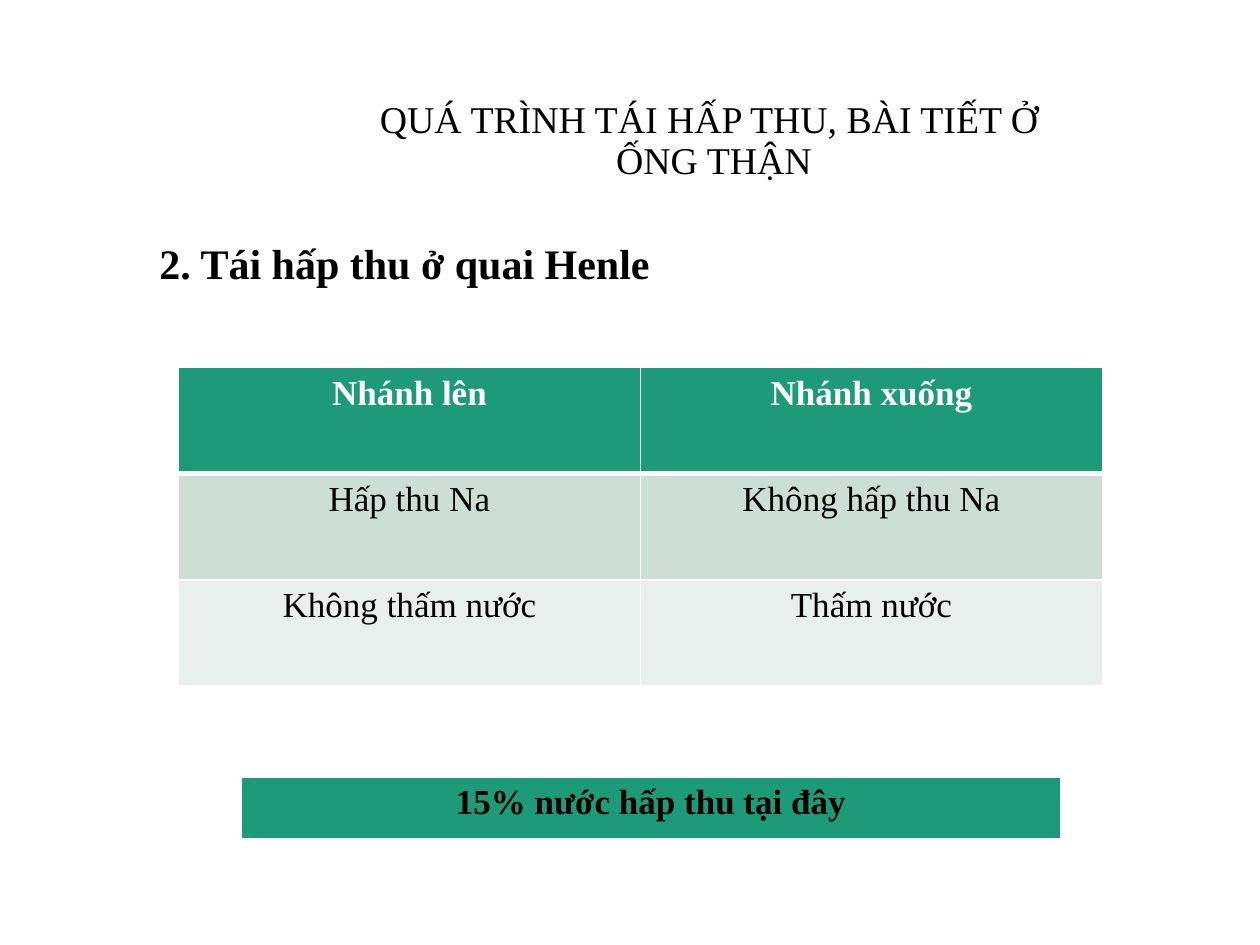
from lxml import etree
from pptx import Presentation
from pptx.dml.color import RGBColor
from pptx.enum.text import MSO_ANCHOR, PP_ALIGN
from pptx.oxml.ns import qn
from pptx.util import Pt

CENTER = PP_ALIGN.CENTER
LEFT = PP_ALIGN.LEFT
TOP = MSO_ANCHOR.TOP
MIDDLE = MSO_ANCHOR.MIDDLE
FONT = "Times New Roman"
GREEN, WHITE, BLACK = "1D9A78", "FFFFFF", "000000"
BANDS = ["CDDED6", "E8EFEC"]


def color(value):
    return RGBColor.from_string(value)


def add_run(p, text, size, fill=BLACK, bold=False):
    r = p.add_run()
    r.text = text
    r.font.name = FONT
    r.font.size = Pt(size)
    r.font.bold = bold
    r.font.color.rgb = color(fill)


def add_text(slide, box, lines, size, bold=False, align=LEFT, anchor=TOP, spacing=1.0):
    sp = slide.shapes.add_textbox(*map(Pt, box))
    tf = sp.text_frame
    tf.word_wrap = True
    tf.vertical_anchor = anchor
    p = tf.paragraphs[0]
    p.alignment = align
    p.line_spacing = spacing
    for i, line in enumerate(lines):
        if i:
            p.add_line_break()
        add_run(p, line, size, bold=bold)
    return p


def add_heading(slide, box, text):
    p = add_text(slide, box, [text], 24, bold=True)
    pPr = p._p.get_or_add_pPr()
    pPr.set("marL", str(Pt(40.5)))
    pPr.set("indent", str(-Pt(40.5)))


def set_borders(cell, bottom):
    tcPr = cell._tc.get_or_add_tcPr()
    for i, (side, width) in enumerate([("L", 1), ("R", 1), ("T", 1), ("B", bottom)]):
        ln = etree.Element(qn(f"a:ln{side}"), w=str(Pt(width)))
        fill = etree.SubElement(ln, qn("a:solidFill"))
        etree.SubElement(fill, qn("a:srgbClr"), val=WHITE)
        tcPr.insert(i, ln)


def add_grid(slide, box, rows, header_color):
    left, top, width, height = box
    n_rows, n_cols = len(rows), len(rows[0])
    table = slide.shapes.add_table(n_rows, n_cols, *map(Pt, box)).table
    for col in table.columns:
        col.width = Pt(width / n_cols)
    for i, row in enumerate(rows):
        table.rows[i].height = Pt(height / n_rows)
        header = i == 0
        for j, text in enumerate(row):
            cell = table.cell(i, j)
            cell.fill.solid()
            cell.fill.fore_color.rgb = color(GREEN if header else BANDS[(i - 1) % 2])
            set_borders(cell, 3 if header else 1)
            p = cell.text_frame.paragraphs[0]
            p.alignment = CENTER
            add_run(p, text, 20, header_color if header else BLACK, header)


def main():
    prs = Presentation()
    prs.slide_width, prs.slide_height = Pt(720), Pt(540)
    slide = prs.slides.add_slide(prs.slide_layouts[6])
    add_grid(slide, (102, 210, 528, 182), [
        ["Nhánh lên", "Nhánh xuống"],
        ["Hấp thu Na", "Không hấp thu Na"],
        ["Không thấm nước", "Thấm nước"],
    ], WHITE)
    add_grid(slide, (138, 444, 468, 36), [["15% nước hấp thu tại đây"]], BLACK)
    add_heading(slide, (84, 132, 546, 75), "2. Tái hấp thu ở quai Henle")
    add_text(slide, (138, 54, 540, 54),
             ["QUÁ TRÌNH TÁI HẤP THU, BÀI TIẾT Ở ", "ỐNG THẬN"],
             21.6, align=CENTER, anchor=MIDDLE, spacing=0.9)
    prs.save("out.pptx")


if __name__ == "__main__":
    main()
